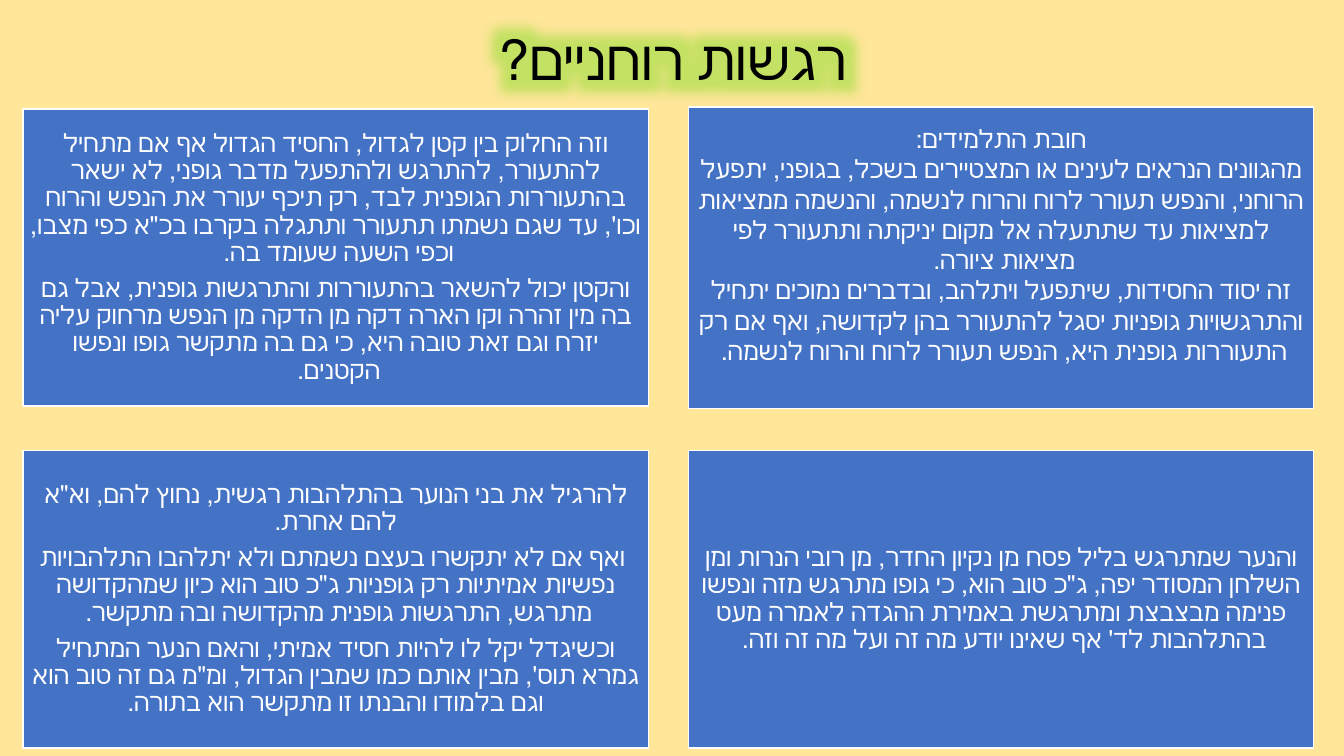
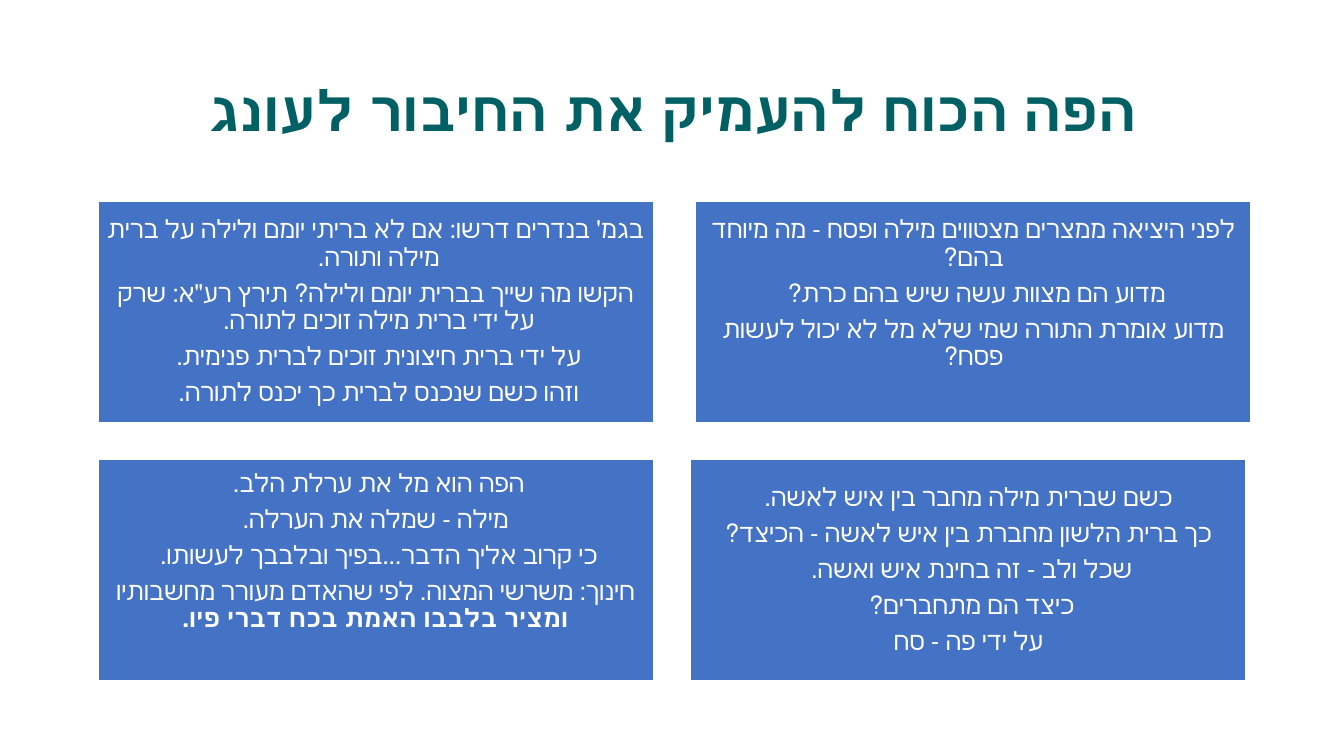
"""Build two Hebrew slides, each with a title above a grid of four text cards."""
import dataclasses

import lxml.etree
import pptx
import pptx.dml.color
import pptx.enum.shapes
import pptx.enum.text
import pptx.oxml.ns
import pptx.util

Inches = pptx.util.Inches
Pt = pptx.util.Pt
qn = pptx.oxml.ns.qn


@dataclasses.dataclass(frozen=True)
class Theme:
    font: str = "Calibri"
    sand: str = "FFE699"
    white: str = "FFFFFF"
    black: str = "000000"
    teal: str = "016064"
    blue: str = "4472C4"
    lime: str = "6BDB10"
    small: float = 39.6
    large: float = 40
    body: float = 18
    gap: float = 6.3
    pad: float = 0.07
    halo: float = 40


def tint(code):
    return pptx.dml.color.RGBColor.from_string(code)


def put(item, style):
    for name, value in style.items():
        setattr(item, name, value)


class Deck:
    def __init__(self, theme):
        self.theme = theme
        self.file = pptx.Presentation()
        put(self.file, {"slide_width": Inches(13.33), "slide_height": Inches(7.5)})
        self.slide = None

    def page(self, color):
        self.slide = self.file.slides.add_slide(self.file.slide_layouts[6])
        fill = self.slide.background.fill
        fill.solid()
        fill.fore_color.rgb = tint(color)

    def line(self, para, parts, color, style, space):
        put(para, {"alignment": pptx.enum.text.PP_ALIGN.CENTER, **space})
        para._p.get_or_add_pPr().set("rtl", "1")
        for text, bold in parts:
            run = para.add_run()
            run.text = text
            put(run.font, {"name": self.theme.font, "bold": bold, **style})
            run.font.color.rgb = tint(color)
            run._r.get_or_add_rPr().set("lang", "he-IL")

    def glow(self, run, color):
        mark = lxml.etree.Element(qn("a:effectLst"))
        halo = lxml.etree.SubElement(mark, qn("a:glow"), rad=str(Pt(self.theme.halo)))
        shade = lxml.etree.SubElement(halo, qn("a:srgbClr"), val=color)
        lxml.etree.SubElement(shade, qn("a:alpha"), val="40000")
        run._r.get_or_add_rPr().find(qn("a:solidFill")).addnext(mark)

    def title(self, text, high, color, size, bold=False, halo=None):
        box = self.slide.shapes.add_textbox(
            Inches(0.92), Inches(0.4), Inches(11.5), Inches(high))
        frame = box.text_frame
        put(frame, {"word_wrap": True,
                    "vertical_anchor": pptx.enum.text.MSO_ANCHOR.MIDDLE})
        para = frame.paragraphs[0]
        self.line(para, [(text, bold)], color, {"size": Pt(size)},
                  {"line_spacing": 0.9})
        if halo:
            self.glow(para.runs[0], halo)

    def card(self, place, lines, tail=0, tight=True):
        theme = self.theme
        box = self.slide.shapes.add_shape(
            pptx.enum.shapes.MSO_SHAPE.RECTANGLE, *map(Inches, place))
        box.shadow.inherit = False
        box.fill.solid()
        box.fill.fore_color.rgb = tint(theme.blue)
        box.line.color.rgb = tint(theme.white)
        box.line.width = Pt(1)
        frame = box.text_frame
        pad = Inches(theme.pad)
        put(frame, {"word_wrap": True, "margin_left": pad, "margin_right": pad,
                    "margin_top": pad, "margin_bottom": pad + Inches(tail),
                    "vertical_anchor": pptx.enum.text.MSO_ANCHOR.MIDDLE})
        space = {"line_spacing": 0.9 if tight else 1.0,
                 "space_after": Pt(theme.gap if tight else 0)}
        for index, text in enumerate(lines):
            para = frame.add_paragraph() if index else frame.paragraphs[0]
            parts = [(text, False)] if isinstance(text, str) else text
            self.line(para, parts, theme.white, {"size": Pt(theme.body)}, space)

    def grid(self, start, size, step, cards):
        for index, (lines, nudge, style) in enumerate(cards):
            row, col = divmod(index, 2)
            left, top, grow = nudge
            place = (start[0] + col * step[0] + left, start[1] + row * step[1] + top,
                     size[0], size[1] + grow)
            self.card(place, lines, **style)


FLAT = (0, 0, 0)

FEEL = [
    (["וזה החלוק בין קטן לגדול, החסיד הגדול אף אם מתחיל להתעורר, להתרגש ולהתפעל "
      "מדבר גופני, לא ישאר בהתעוררות הגופנית לבד, רק תיכף יעורר את הנפש והרוח וכו', "
      "עד שגם נשמתו תתעורר ותתגלה בקרבו בכ\"א כפי מצבו, וכפי השעה שעומד בה. ",
      "והקטן יכול להשאר בהתעוררות והתרגשות גופנית, אבל גם בה מין זהרה וקו הארה דקה "
      "מן הדקה מן הנפש מרחוק עליה יזרח וגם זאת טובה היא, כי גם בה מתקשר גופו ונפשו "
      "הקטנים. "], FLAT, {}),
    (["חובת התלמידים:",
      "מהגוונים הנראים לעינים או המצטיירים בשכל, בגופני, יתפעל הרוחני, והנפש תעורר "
      "לרוח והרוח לנשמה, והנשמה ממציאות למציאות עד שתתעלה אל מקום יניקתה ותתעורר "
      "לפי מציאות ציורה. ",
      "זה יסוד החסידות, שיתפעל ויתלהב, ובדברים נמוכים יתחיל והתרגשויות גופניות יסגל "
      "להתעורר בהן לקדושה, ואף אם רק התעוררות גופנית היא, הנפש תעורר לרוח והרוח "
      "לנשמה. "], (0, -0.02, 0.04), {"tail": 0.26, "tight": False}),
    (["להרגיל את בני הנוער בהתלהבות רגשית, נחוץ להם, וא\"א להם אחרת.",
      " ואף אם לא יתקשרו בעצם נשמתם ולא יתלהבו התלהבויות נפשיות אמיתיות רק גופניות "
      "ג\"כ טוב הוא כיון שמהקדושה מתרגש, התרגשות גופנית מהקדושה ובה מתקשר. ",
      "וכשיגדל יקל לו להיות חסיד אמיתי, והאם הנער המתחיל גמרא תוס', מבין אותם כמו "
      "שמבין הגדול, ומ\"מ גם זה טוב הוא וגם בלמודו והבנתו זו מתקשר הוא בתורה."],
     FLAT, {}),
    (["והנער שמתרגש בליל פסח מן נקיון החדר, מן רובי הנרות ומן השלחן המסודר יפה, "
      "ג\"כ טוב הוא, כי גופו מתרגש מזה ונפשו פנימה מבצבצת ומתרגשת באמירת ההגדה "
      "לאמרה מעט בהתלהבות לד' אף שאינו יודע מה זה ועל מה זה וזה. "], FLAT, {}),
]

MOUTH = [
    (["בגמ' בנדרים דרשו: אם לא בריתי יומם ולילה על ברית מילה ותורה. ",
      "הקשו מה שייך בברית יומם ולילה? תירץ רע\"א: שרק על ידי ברית מילה זוכים לתורה. ",
      "על ידי ברית חיצונית זוכים לברית פנימית. ",
      "וזהו כשם שנכנס לברית כך יכנס לתורה. "], FLAT, {}),
    (["לפני היציאה ממצרים מצטווים מילה ופסח - מה מיוחד בהם?",
      "מדוע הם מצוות עשה שיש בהם כרת? ",
      "מדוע אומרת התורה שמי שלא מל לא יכול לעשות פסח?"],
     (0.05, 0, 0), {"tail": 0.36}),
    (["הפה הוא מל את ערלת הלב. ",
      "מילה - שמלה את הערלה.",
      "כי קרוב אליך הדבר...בפיך ובלבבך לעשותו. ",
      [("חינוך: משרשי המצוה. לפי שהאדם מעורר מחשבותיו ", False),
       ("ומציר בלבבו האמת בכח דברי פיו.", True)]], FLAT, {"tail": 0.36}),
    (["כשם שברית מילה מחבר בין איש לאשה.",
      "כך ברית הלשון מחברת בין איש לאשה - הכיצד?",
      "שכל ולב - זה בחינת איש ואשה. ",
      "כיצד הם מתחברים? ",
      "על ידי פה - סח"], FLAT, {}),
]


def main():
    theme = Theme()
    deck = Deck(theme)
    deck.page(theme.sand)
    deck.title("רגשות רוחניים?", 0.44, theme.black, theme.small, halo=theme.lime)
    deck.grid((0.23, 1.08), (6.2, 2.95), (6.6, 3.39), FEEL)
    deck.page(theme.white)
    deck.title("הפה הכוח להעמיק את החיבור לעונג", 1.45, theme.teal, theme.large,
               bold=True)
    deck.grid((0.97, 2), (5.51, 2.19), (5.88, 2.56), MOUTH)
    deck.file.save("out.pptx")


if __name__ == "__main__":
    main()
